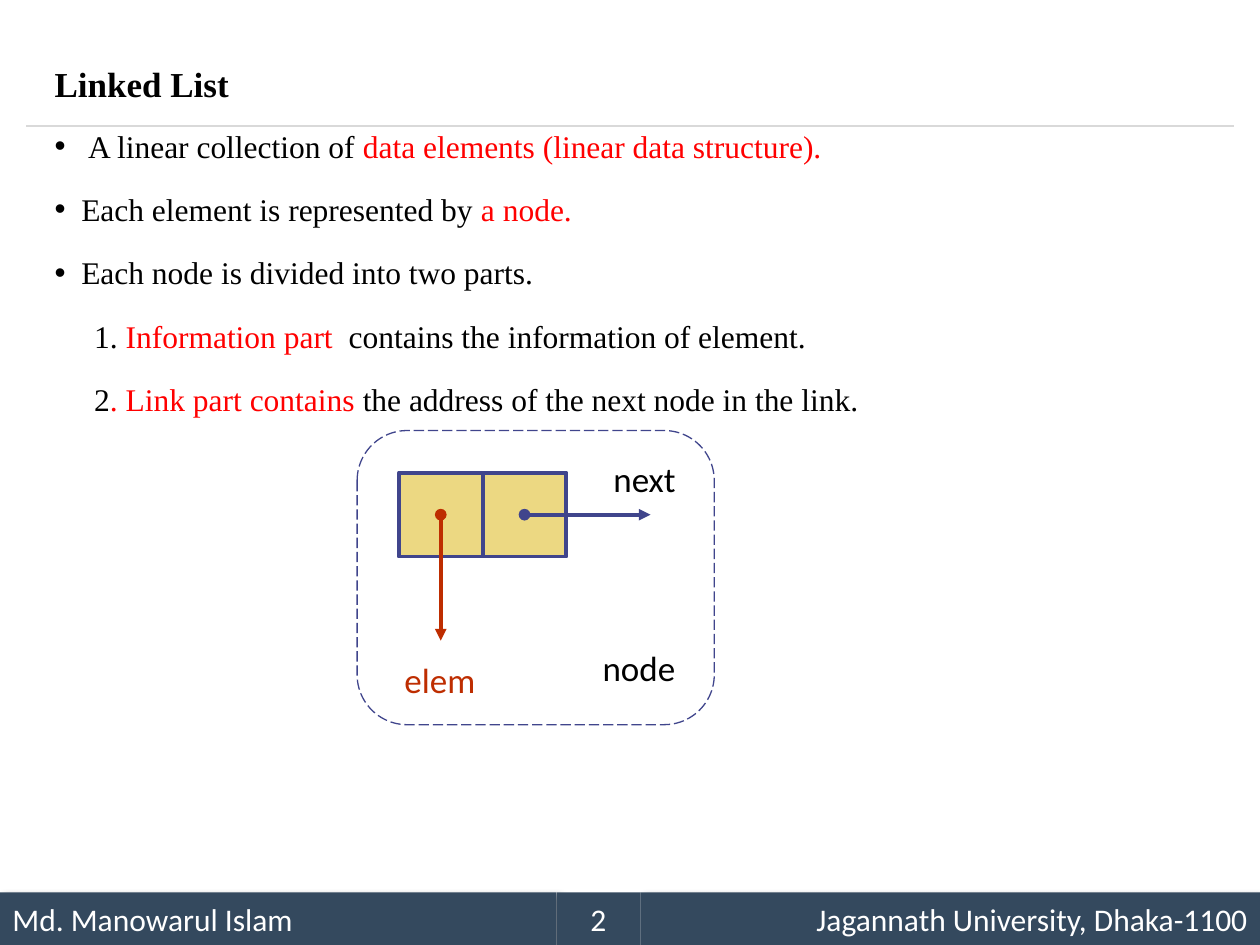
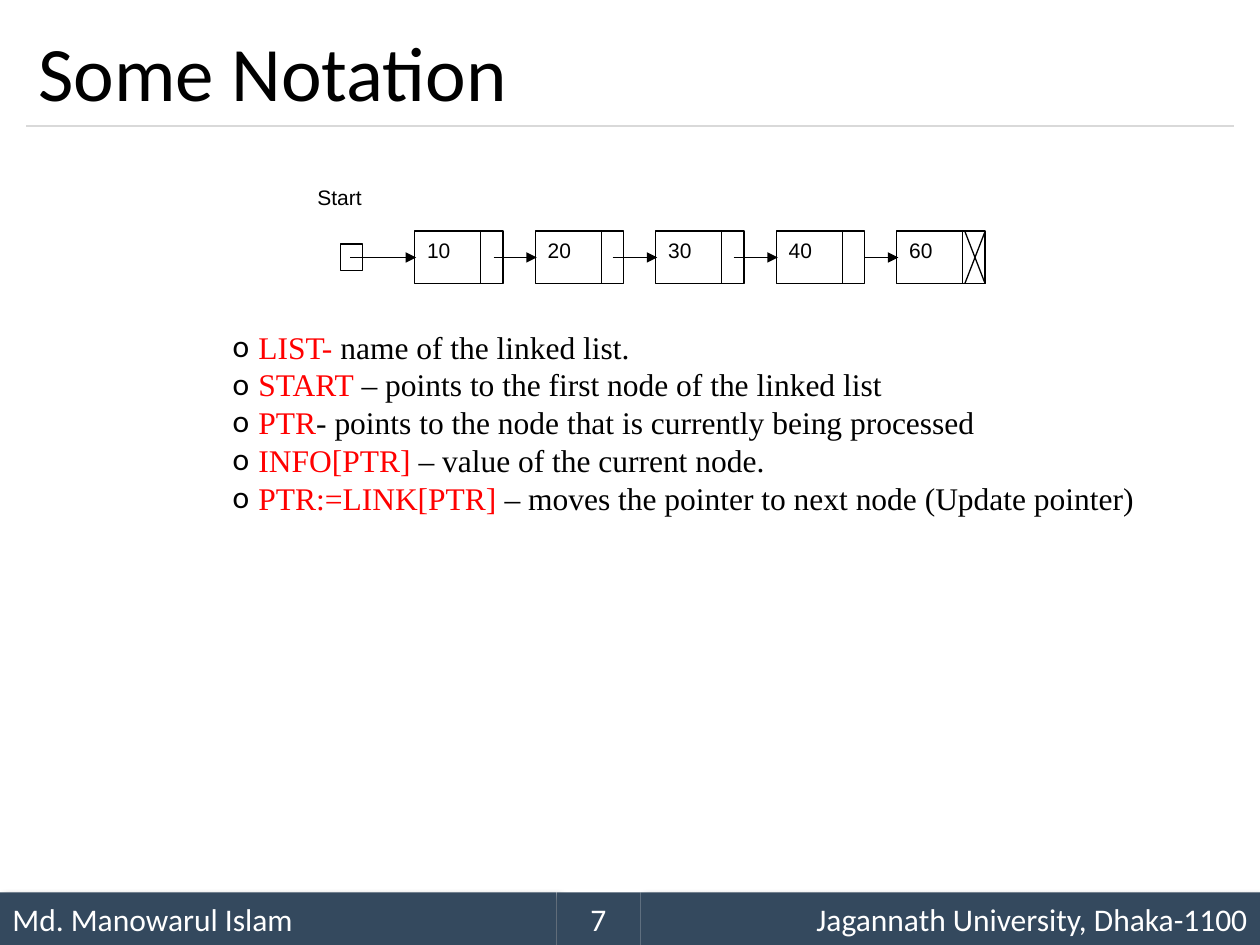
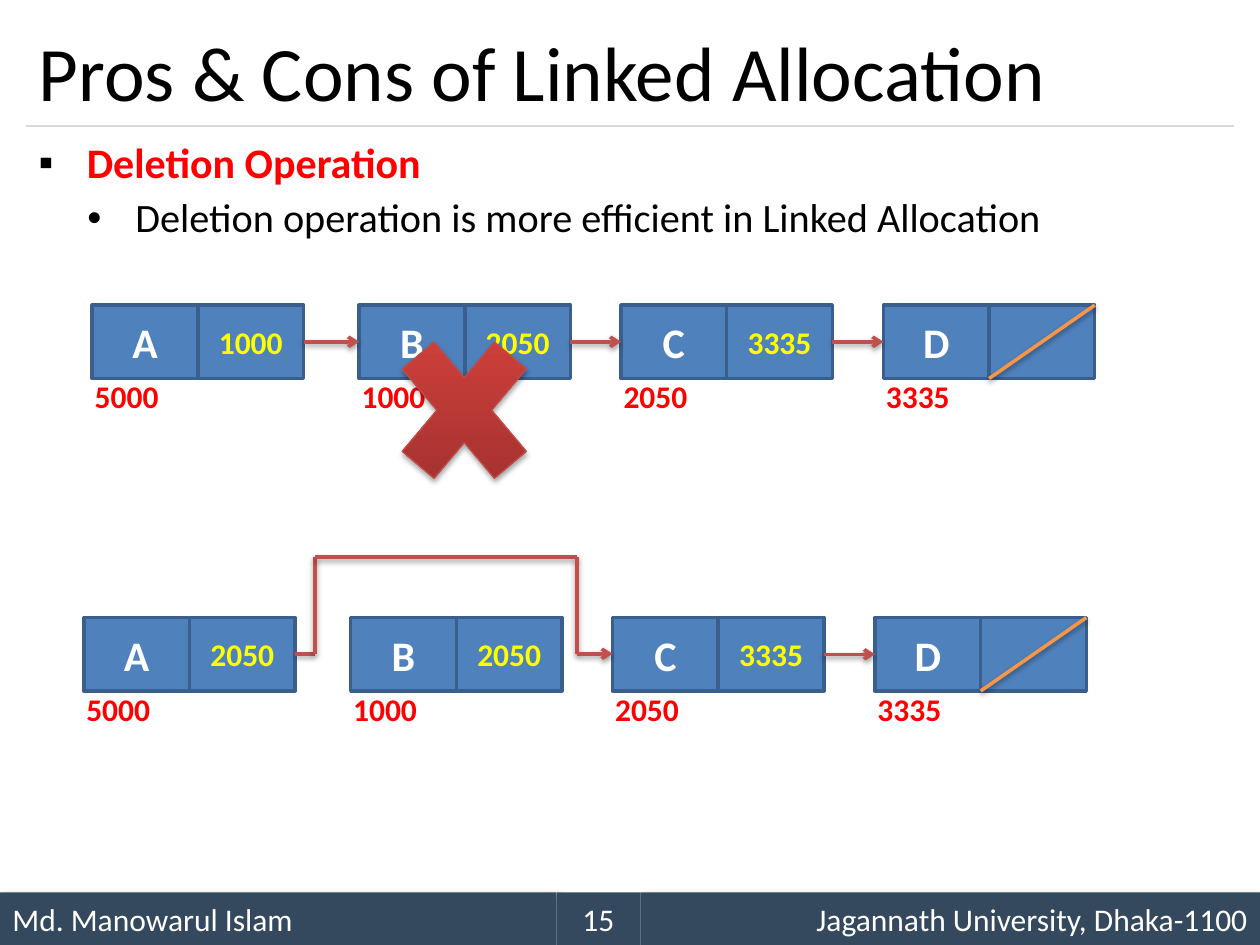
import itertools

import pptx
import pptx.dml.color
import pptx.enum.dml
import pptx.enum.shapes
import pptx.enum.text
import pptx.oxml
import pptx.oxml.ns
import pptx.util
from lxml import etree

Cm = pptx.util.Cm
Pt = pptx.util.Pt
SHAPES = pptx.enum.shapes.MSO_SHAPE
ALIGN = pptx.enum.text.PP_ALIGN
ANCHOR = pptx.enum.text.MSO_ANCHOR

BLACK, WHITE, RED, YELLOW = "000000", "FFFFFF", "FF0000", "FFFF00"
BAND, RULE = "34495E", "D9D9D9"
NODE_LINE, NODE_FILL, ELEM = "40458C", "ECD882", "BE2D00"
CELL_FILL, CELL_LINE, LINK, SLASH = "4F81BD", "3A5F8C", "C0504D", "F79646"
SERIF, SANS, PLAIN = "Times New Roman", "Calibri", "Arial"

# Shadows: opacity in percent, blur and distance in points, direction in degrees
BAND_SHADOW = (40, 4, 3, 45)
LINK_SHADOW = (38, 3.1, 1.6, 90)
CROSS_SHADOW = (35, 3.1, 1.8, 90)


def color(hex_value):
    return pptx.dml.color.RGBColor.from_string(hex_value)


def set_format(target, values):
    for name, value in values.items():
        setattr(target, name, value)


def add_xml(parent, tag, **attributes):
    element = etree.SubElement(parent, pptx.oxml.ns.qn(tag))
    for name, value in attributes.items():
        element.set(name, str(value))
    return element


def set_effects(item, shadow):
    """Replace the theme shadow by the given one, or by none."""
    effects = add_xml(item._element.spPr, "a:effectLst")
    if shadow:
        opacity, blur, distance, direction = shadow
        outer = add_xml(effects, "a:outerShdw", blurRad=Pt(blur), dist=Pt(distance),
                        dir=direction * 60000, algn="t", rotWithShape=0)
        shade = add_xml(outer, "a:srgbClr", val=BLACK)
        add_xml(shade, "a:alpha", val=opacity * 1000)


def set_bullet(paragraph, char, font, margin, hang):
    properties = paragraph._p.get_or_add_pPr()
    properties.set("marL", str(Cm(margin)))
    properties.set("indent", str(Cm(-hang)))
    if char:
        add_xml(add_xml(properties, "a:buClr"), "a:srgbClr", val=BLACK)
        add_xml(properties, "a:buFont", typeface=font)
        add_xml(properties, "a:buChar", char=char)


def line_of(*spans, char=None, bullet_font=PLAIN, margin=0, hang=0, font=None, **layout):
    """Describe one paragraph; spans are (text, colour) pairs."""
    return {"spans": spans, "bullet": (char, bullet_font, margin, hang),
            "font": font or {}, "layout": layout}


def write(shape, lines, font, wrap=True, anchor=ANCHOR.TOP):
    frame = shape.text_frame
    set_format(frame, {"word_wrap": wrap, "vertical_anchor": anchor})
    for number, line in enumerate(lines):
        paragraph = frame.add_paragraph() if number else frame.paragraphs[0]
        set_bullet(paragraph, *line["bullet"])
        set_format(paragraph, {"alignment": ALIGN.LEFT, **line["layout"]})
        for text, hex_value in line["spans"]:
            span = paragraph.add_run()
            span.text = text
            set_format(span.font, {**font, **line["font"]})
            span.font.color.rgb = color(hex_value)


def font_of(name, size, bold=False):
    return {"name": name, "size": Pt(size), "bold": bold}


def add_text(slide, place, lines, font, **options):
    box = slide.shapes.add_textbox(*map(Cm, place))
    write(box, lines, font, **options)


def add_box(slide, place, fill=None, outline=None, width=0.75, kind=SHAPES.RECTANGLE, shadow=None):
    box = slide.shapes.add_shape(kind, *map(Cm, place))
    if fill:
        box.fill.solid()
        box.fill.fore_color.rgb = color(fill)
    else:
        box.fill.background()
    if outline:
        box.line.color.rgb = color(outline)
        box.line.width = Pt(width)
    else:
        box.line.fill.background()
    set_effects(box, shadow)
    return box


def add_line(slide, start, end, hex_value=BLACK, width=0.75, head=None, tail=None, shadow=None):
    line = slide.shapes.add_connector(
        pptx.enum.shapes.MSO_CONNECTOR.STRAIGHT, *map(Cm, (*start, *end)))
    line.line.color.rgb = color(hex_value)
    line.line.width = Pt(width)
    stroke = line.line._get_or_add_ln()
    if head:
        add_xml(stroke, "a:headEnd", type=head)
    if tail:
        add_xml(stroke, "a:tailEnd", type=tail)
    set_effects(line, shadow)


def add_slide(deck, number, title=None):
    """Start a slide with the footer bands, the rule and the title."""
    slide = deck.slides.add_slide(deck.slide_layouts[6])
    bands = (
        (0, 11.22, "Md. Manowarul Islam", ALIGN.LEFT, BAND_SHADOW),
        (12.91, 12.49, "Jagannath University, Dhaka-1100", ALIGN.RIGHT, BAND_SHADOW),
        (11.22, 1.69, str(number), ALIGN.CENTER, None),
    )
    for left, width, text, alignment, shadow in bands:
        band = add_box(slide, (left, 17.99, width, 1.06), BAND, shadow=shadow)
        write(band, [line_of((text, WHITE), alignment=alignment)], font_of(SANS, 18),
              anchor=ANCHOR.MIDDLE)
    add_line(slide, (0.53, 2.54), (24.87, 2.54), RULE)
    if title:
        add_text(slide, (0.53, 0.3, 24.34, 2.24), [line_of((title, BLACK))],
                 font_of(SANS, 44), anchor=ANCHOR.MIDDLE)
    return slide


def add_definition(slide):
    spaced = {"alignment": ALIGN.JUSTIFY, "space_before": Pt(10.3), "line_spacing": 1.2}
    bullet = {**spaced, "char": "•", "margin": 0.54, "hang": 0.54}
    wide_bullet = {**bullet, "margin": 0.68, "hang": 0.68, "line_spacing": 1.1}
    numbered = {**spaced, "margin": 0.8}
    lines = [
        line_of(("Linked List", BLACK), font=font_of(SERIF, 20, True), line_spacing=1.1),
        line_of(("A linear collection of ", BLACK),
                ("data elements (linear data structure).", RED), **wide_bullet),
        line_of(("Each element is represented by ", BLACK), ("a node.", RED), **bullet),
        line_of(("Each node is divided into two parts.", BLACK), **bullet),
        line_of(("1. ", BLACK), ("Information part ", RED),
                (" contains the information of element.", BLACK), **numbered),
        line_of(("2", BLACK), (". Link part contains ", RED),
                ("the address of the next node in the link.", BLACK), **numbered),
    ]
    add_text(slide, (0.85, 1.06, 23.5, 7.67), lines, font_of(SERIF, 18))


def add_node_figure(slide):
    left, top, side = 8.04, 9.53, 1.69
    add_box(slide, (left, top, side, side), NODE_FILL, NODE_LINE, 2.25)
    labels = (("next", 12.07, 9.1, 1.85, BLACK), ("elem", 7.87, 13.16, 2, ELEM),
              ("node", 11.85, 12.91, 2.06, BLACK))
    for text, label_left, label_top, width, hex_value in labels:
        add_text(slide, (label_left, label_top, width, 1.1),
                 [line_of((text, hex_value), alignment=ALIGN.CENTER)],
                 font_of(SANS, 20), wrap=False)
    frame = add_box(slide, (7.2, 8.68, 7.2, 5.93), None, NODE_LINE,
                    kind=SHAPES.ROUNDED_RECTANGLE)
    frame.adjustments[0] = 0.17
    frame.line.dash_style = pptx.enum.dml.MSO_LINE.LONG_DASH
    add_box(slide, (left + side, top, side, side), NODE_FILL, NODE_LINE, 2.25)
    middle, reach = top + side / 2, 2.54
    elem_x, next_x = left + side / 2, left + side * 1.5
    ends = {"width": 2.25, "head": "oval", "tail": "triangle"}
    add_line(slide, (elem_x, middle), (elem_x, middle + reach), ELEM, **ends)
    add_line(slide, (next_x, middle), (next_x + reach, middle), NODE_LINE, **ends)


def add_number_list(slide):
    first, pitch, top, width, height, info = 8.36, 2.43, 4.66, 1.78, 1.06, 1.33
    middle = top + height / 2
    small = font_of(PLAIN, 12)
    add_text(slide, (6.15, 3.6, 2.2, 1.06), [line_of(("Start", BLACK))], small)
    add_box(slide, (6.87, 4.92, 0.44, 0.53), WHITE, BLACK)
    link_starts = (7.06, 9.95, 12.35, 14.79, 17.43)
    for number, (value, start) in enumerate(zip(("10", "20", "30", "40", "60"), link_starts)):
        left = first + number * pitch
        node = add_box(slide, (left, top, width, height), WHITE, BLACK)
        write(node, [line_of((value, BLACK))], small)
        add_line(slide, (left + info, top), (left + info, top + height))
        add_line(slide, (start, middle), (left + 0.03, middle), tail="triangle")
    for from_y, to_y in ((top, top + height), (top + height, top)):
        add_line(slide, (left + info + 0.04, from_y), (left + width, to_y))


def add_notation(slide):
    terms = (
        ("LIST-", " name of the linked list."),
        ("START", " – points to the first node of the linked list"),
        ("PTR", "- points to the node that is currently being processed"),
        ("INFO[PTR] ", "– value of the current node."),
        ("PTR:=LINK[PTR] ", "– moves the pointer to next node (Update pointer)"),
    )
    lines = [line_of((term, RED), (meaning, BLACK), char="o", bullet_font=SANS,
                     margin=0.52, hang=0.52) for term, meaning in terms]
    add_text(slide, (4.44, 6.48, 18.9, 4.88), lines, font_of(SERIF, 18))


def add_deletion_text(slide):
    layout = {"alignment": ALIGN.JUSTIFY, "line_spacing": 0.9, "hang": 0.97}
    lines = [
        line_of(("Deletion Operation", RED), char="▪", margin=0.97,
                font=font_of(SANS, 24, True), **layout),
        line_of(("Deletion operation is more efficient in Linked Allocation", BLACK),
                char="•", margin=1.95, space_before=Pt(6), **layout),
    ]
    add_text(slide, (0.53, 2.74, 24.34, 2.5), lines, font_of(SANS, 23))


def add_chain(slide, shift, top, first_pointer, linked):
    """Draw nodes A to D; linked holds the numbers of nodes with a straight arrow."""
    cell, height = 2.13, 1.48
    nodes = (("A", 1.86, "5000", first_pointer), ("B", 7.24, "1000", "2050"),
             ("C", 12.52, "2050", "3335"), ("D", 17.81, "3335", ""))
    lefts = [node[1] + shift for node in nodes]
    for left, (letter, _, address, pointer) in zip(lefts, nodes):
        parts = ((letter, WHITE, 24), (pointer, YELLOW, 18))
        for number, (text, hex_value, size) in enumerate(parts):
            box = add_box(slide, (left + number * cell, top, cell, height),
                          CELL_FILL, CELL_LINE, 2)
            if text:
                write(box, [line_of((text, hex_value), alignment=ALIGN.CENTER)],
                      font_of(SANS, size, True), wrap=False, anchor=ANCHOR.MIDDLE)
        add_text(slide, (left - 0.2, top + 1.33, 1.8, 1.02), [line_of((address, RED))],
                 font_of(SANS, 18, True), wrap=False)
    for number in linked:
        add_line(slide, (lefts[number] + 2 * cell, top + height / 2),
                 (lefts[number + 1], top + height / 2),
                 LINK, 2, tail="arrow", shadow=LINK_SHADOW)
    add_line(slide, (lefts[-1] + 2 * cell, top), (lefts[-1] + cell, top + height),
             SLASH, 2, shadow=LINK_SHADOW)


def add_cross(slide):
    cross = add_box(slide, (7.57, 6.15, 3.58, 4.24), LINK, "BF4C48",
                    kind=SHAPES.MATH_MULTIPLY, shadow=CROSS_SHADOW)
    cross.fill.gradient()
    cross.fill.gradient_angle = 90
    for stop, position, hex_value in zip(cross.fill.gradient_stops, (0, 0.8),
                                         ("9C2F2D", "CB3E3A")):
        stop.position = position
        stop.color.rgb = color(hex_value)


def add_bypass(slide):
    corners = ((5.95, 13.18), (6.35, 13.18), (6.35, 11.23),
               (11.63, 11.23), (11.63, 13.18), (12.35, 13.18))
    for start, end in itertools.pairwise(corners):
        add_line(slide, start, end, LINK, 2, shadow=LINK_SHADOW,
                 tail="arrow" if end == corners[-1] else None)


def main():
    deck = pptx.Presentation()
    set_format(deck, {"slide_width": Cm(25.4), "slide_height": Cm(19.05)})

    slide = add_slide(deck, 2)
    add_definition(slide)
    add_node_figure(slide)

    slide = add_slide(deck, 7, "Some Notation")
    add_number_list(slide)
    add_notation(slide)

    slide = add_slide(deck, 15, "Pros & Cons of Linked Allocation")
    add_deletion_text(slide)
    add_chain(slide, 0, 6.15, "1000", (0, 1, 2))
    add_cross(slide)
    add_chain(slide, -0.17, 12.45, "2050", (2,))
    add_bypass(slide)

    deck.save("out.pptx")


if __name__ == "__main__":
    main()
